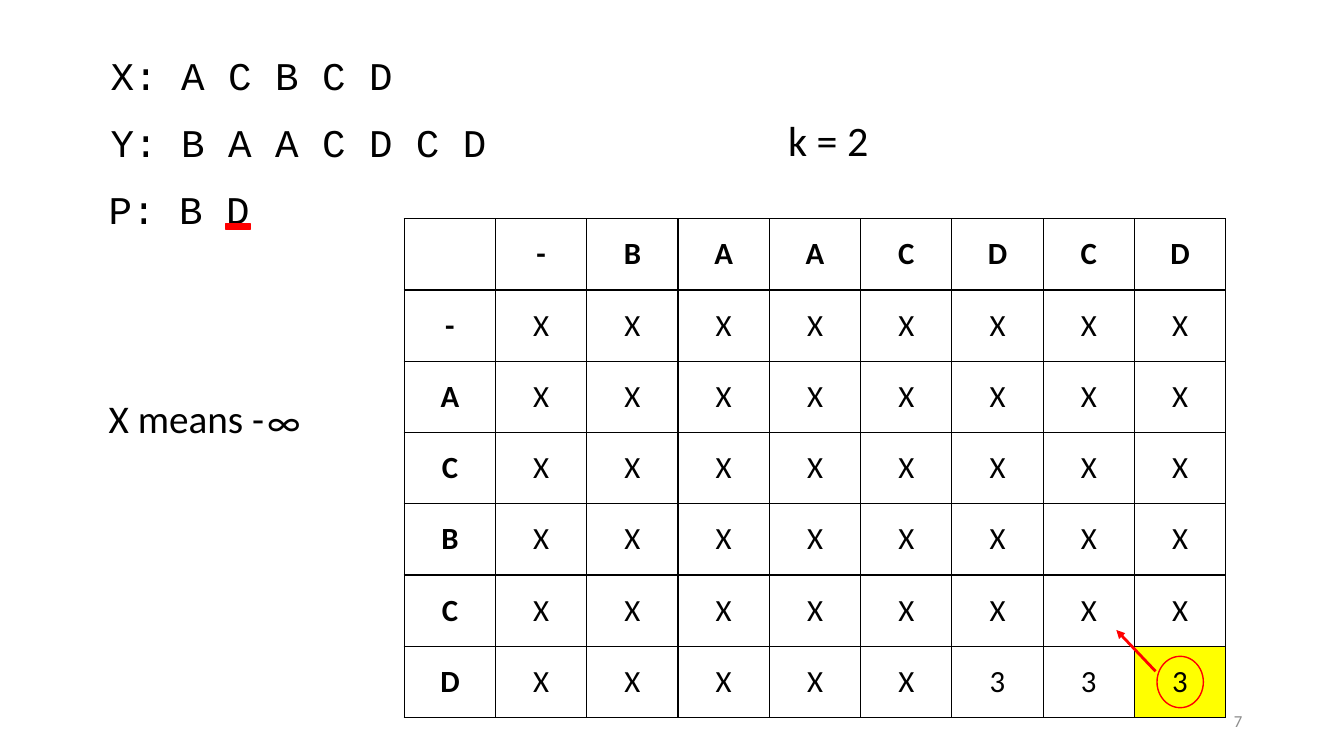
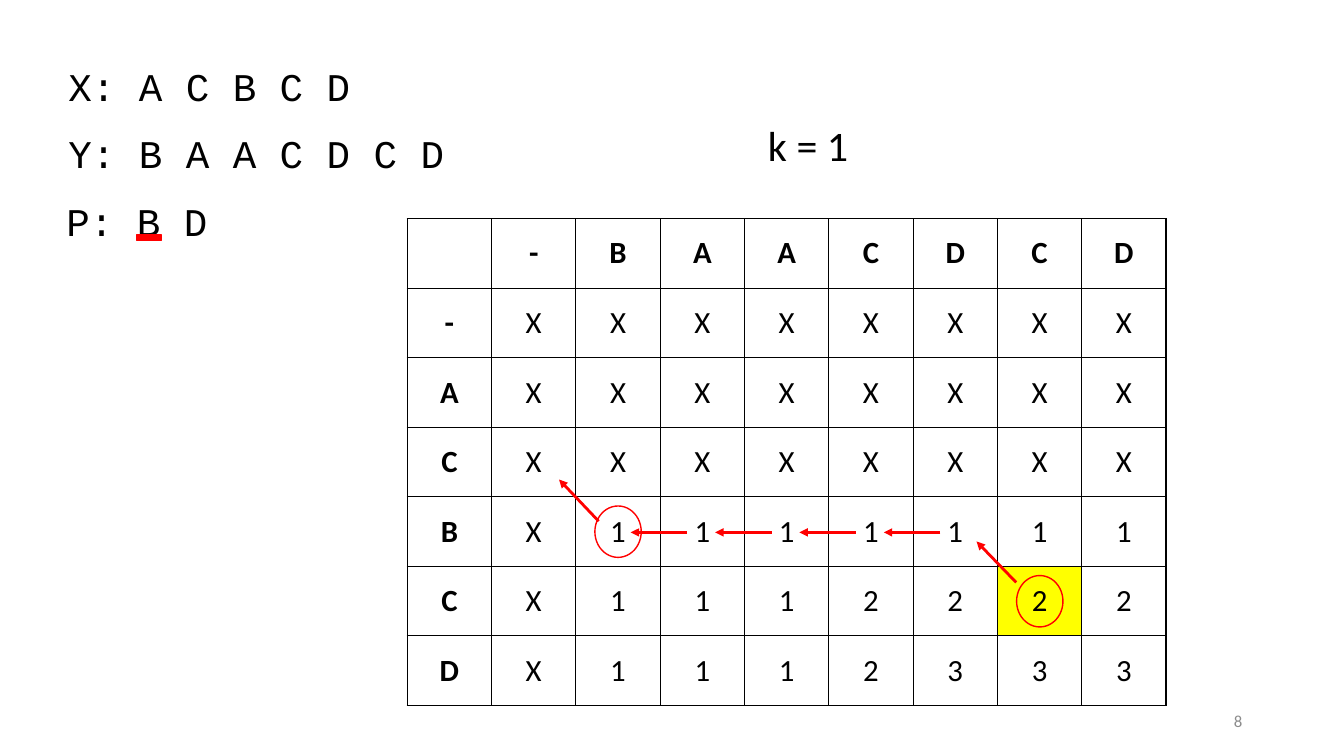
import dataclasses

import lxml.etree
import pptx
import pptx.dml.color
import pptx.enum.shapes
import pptx.enum.text
import pptx.oxml.ns
import pptx.util

ALIGN = pptx.enum.text.PP_ALIGN
ANCHOR = pptx.enum.text.MSO_ANCHOR
SHAPE = pptx.enum.shapes.MSO_SHAPE


@dataclasses.dataclass(frozen=True)
class Theme:
    ink: str = "000000"
    trace: str = "FF0000"
    highlight: str = "FFFF00"
    muted: str = "8C8C8C"
    sans: str = "Calibri"
    mono: str = "Courier New"
    cell: int = 22
    body: int = 28
    step: int = 30
    footer: int = 12
    thin: int = 1
    thick: int = 2


THEME = Theme()
SLIDE_WIDTH = pptx.util.Inches(13.33)
SLIDE_HEIGHT = pptx.util.Inches(7.5)
X_SEQUENCE, Y_SEQUENCE, PATTERN = "ACBCD", "BAACDCD", "BD"
LINE_STEP = 8.89
LABEL_HEIGHT = 7.6
INSET = 0.75
MONO_ADVANCE = 1.75


def across(percent):
    return round(SLIDE_WIDTH * percent / 100)


def down(percent):
    return round(SLIDE_HEIGHT * percent / 100)


def box(left, top, width, height):
    """Turn shares of the slide, in percent, into lengths."""
    return across(left), down(top), across(width), down(height)


def rgb(color):
    return pptx.dml.color.RGBColor.from_string(color)


def write(frame, text, size=THEME.body, font=THEME.sans, color=THEME.ink,
          bold=False, align=ALIGN.LEFT, wrap=True):
    frame.word_wrap = wrap
    paragraph = frame.paragraphs[0]
    paragraph.alignment = align
    run = paragraph.add_run()
    run.text = text
    run.font.size = pptx.util.Pt(size)
    run.font.name = font
    run.font.bold = bold
    run.font.color.rgb = rgb(color)


def add_label(slide, text, place, anchor=ANCHOR.TOP, **style):
    frame = slide.shapes.add_textbox(*box(*place)).text_frame
    frame.vertical_anchor = anchor
    write(frame, text, **style)


def add_mark(slide, kind, place, filled=False):
    mark = slide.shapes.add_shape(kind, *place)
    mark.shadow.inherit = False
    mark.line.color.rgb = rgb(THEME.trace)
    mark.line.width = pptx.util.Pt(THEME.thin)
    if filled:
        mark.fill.solid()
        mark.fill.fore_color.rgb = rgb(THEME.trace)
    else:
        mark.fill.background()


def add_sequences(slide, left, top, current):
    """Write both sequences and the pattern, underlining its current letter."""
    rows = (("X", X_SEQUENCE, left), ("Y", Y_SEQUENCE, left),
            ("P", PATTERN, left - 0.15))
    for index, (name, letters, start) in enumerate(rows):
        text = f"{name}: {' '.join(letters)}"
        width = len(text) * MONO_ADVANCE + 2 * INSET
        add_label(slide, text, (start, top + index * LINE_STEP, width, LABEL_HEIGHT),
                  font=THEME.mono, wrap=False)
    letter_middle = left - 0.15 + INSET + (3 + 2 * current + 0.5) * MONO_ADVANCE
    underline_width = 2.55
    add_mark(slide, SHAPE.MATH_MINUS,
             box(letter_middle - underline_width / 2, top + 2 * LINE_STEP + 4.6,
                 underline_width, 2.93), filled=True)


def set_borders(cell):
    properties = cell._tc.get_or_add_tcPr()
    qn = pptx.oxml.ns.qn
    for position, side in enumerate(("lnL", "lnR", "lnT", "lnB")):
        border = lxml.etree.Element(qn(f"a:{side}"),
                                    w=str(pptx.util.Pt(THEME.thin)))
        paint = lxml.etree.SubElement(border, qn("a:solidFill"))
        lxml.etree.SubElement(paint, qn("a:srgbClr"), val=THEME.ink)
        properties.insert(position, border)


class ScoreTable:
    """A table of scores whose marks are placed in columns and rows."""

    def __init__(self, slide, place, scores, highlighted):
        self.slide = slide
        self.left, self.top, width, height = box(*place)
        header = " -" + Y_SEQUENCE
        lines = [header] + [name + row for name, row in zip("-" + X_SEQUENCE, scores)]
        self.column = width / len(header)
        self.row = height / len(lines)
        table = slide.shapes.add_table(len(lines), len(header), self.left, self.top,
                                       width, height).table
        for column in table.columns:
            column.width = round(self.column)
        for row in table.rows:
            row.height = round(self.row)
        for r, line in enumerate(lines):
            for c, value in enumerate(line):
                self.fill_cell(table.cell(r, c), value.strip(),
                               bold=r == 0 or c == 0,
                               highlight=(c, r) == highlighted)

    def fill_cell(self, cell, value, bold, highlight):
        cell.vertical_anchor = ANCHOR.MIDDLE
        if highlight:
            cell.fill.solid()
            cell.fill.fore_color.rgb = rgb(THEME.highlight)
        else:
            cell.fill.background()
        set_borders(cell)
        if value:
            write(cell.text_frame, value, size=THEME.cell, bold=bold,
                  align=ALIGN.CENTER)

    def point(self, column, row):
        return (round(self.left + column * self.column),
                round(self.top + row * self.row))

    def circle(self, column, row):
        x, y = self.point(column + 0.5, row + 0.5)
        width, height = across(3.45), down(6.8)
        add_mark(self.slide, SHAPE.OVAL,
                 (x - width // 2, y - height // 2, width, height))

    def arrow(self, start, end):
        connector = self.slide.shapes.add_connector(
            pptx.enum.shapes.MSO_CONNECTOR.STRAIGHT,
            *self.point(*start), *self.point(*end))
        connector.line.color.rgb = rgb(THEME.trace)
        connector.line.width = pptx.util.Pt(THEME.thick)
        qn = pptx.oxml.ns.qn
        lxml.etree.SubElement(connector.line._get_or_add_ln(), qn("a:tailEnd"),
                              type="triangle")
        lxml.etree.SubElement(connector._element.spPr, qn("a:effectLst"))


def add_step(presentation, k, number, sequences, step_at, table_at, scores,
             highlighted, circles, arrows):
    slide = presentation.slides.add_slide(presentation.slide_layouts[6])
    table = ScoreTable(slide, table_at, scores, highlighted)
    add_label(slide, f"k = {k}", (*step_at, 10.5, 8.13), size=THEME.step)
    add_sequences(slide, *sequences, current=k - 1)
    for cell in circles:
        table.circle(*cell)
    for start, end in arrows:
        table.arrow(start, end)
    add_label(slide, str(number), (70.67, 92.67, 22.5, 5.33), anchor=ANCHOR.MIDDLE,
              size=THEME.footer, color=THEME.muted, align=ALIGN.RIGHT)
    return slide


def main():
    presentation = pptx.Presentation()
    presentation.slide_width = SLIDE_WIDTH
    presentation.slide_height = SLIDE_HEIGHT
    unreachable = "X" * (len(Y_SEQUENCE) + 1)

    last_letter = add_step(
        presentation, k=2, number=7, sequences=(7.5, 6.13), step_at=(57.9, 14.53),
        table_at=(30.08, 28.93, 61.13, 66), scores=[unreachable] * 5 + ["XXXXX333"],
        highlighted=(8, 6), circles=[(8, 6)], arrows=[((8.23, 6.35), (7.8, 5.77))])
    add_label(last_letter, "X means -", (7.35, 51.47, 13.2, LABEL_HEIGHT), wrap=False)
    add_label(last_letter, "∞", (19.13, 51.87, 4.05, LABEL_HEIGHT), wrap=False)

    leftward = [((c + 0.32, 4.51), (c - 0.35, 4.51)) for c in range(6, 2, -1)]
    add_step(
        presentation, k=1, number=8, sequences=(4.35, 7.6), step_at=(56.4, 15.2),
        table_at=(30.3, 28.93, 56.48, 64.4),
        scores=[unreachable] * 3 + ["X1111111", "X1112222", "X1112333"],
        highlighted=(7, 5), circles=[(7, 5), (2, 4)],
        arrows=[((7.22, 5.23), (6.75, 4.64)), *leftward, ((2.27, 4.35), (1.8, 3.75))])

    presentation.save("out.pptx")


if __name__ == "__main__":
    main()
